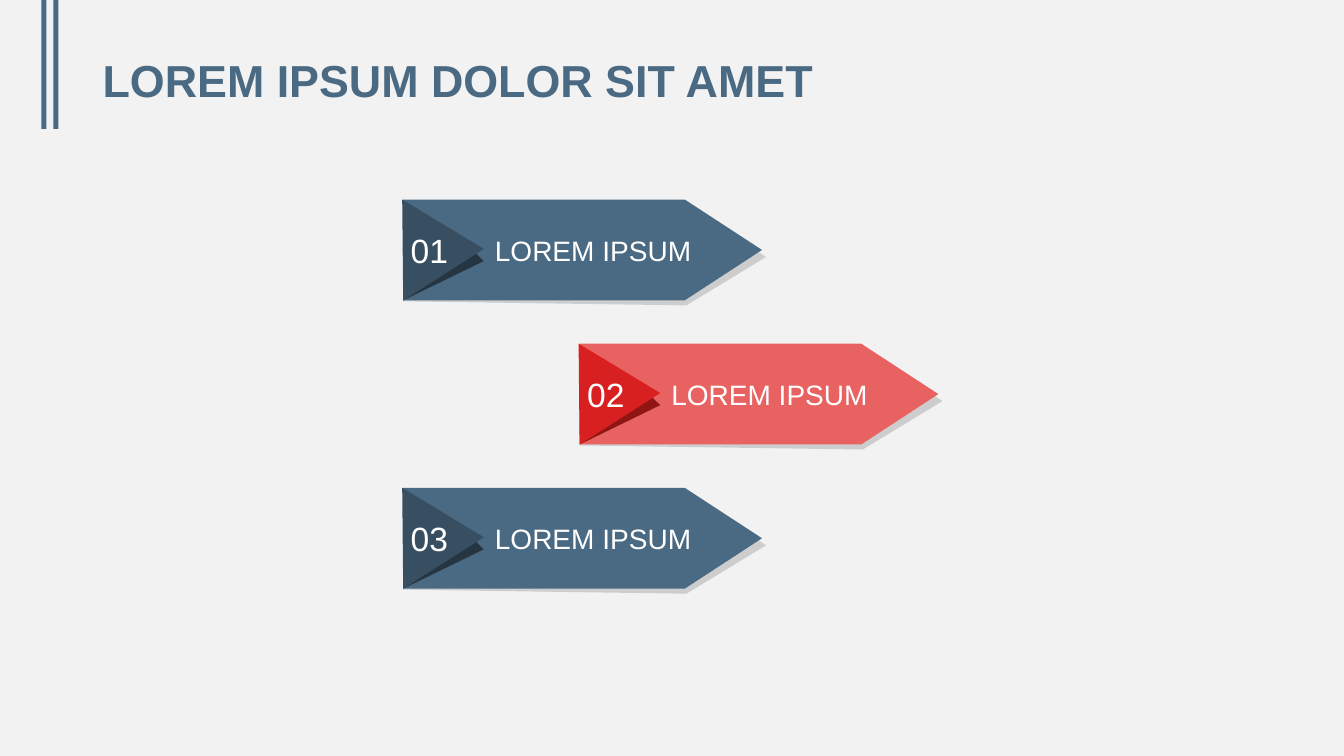
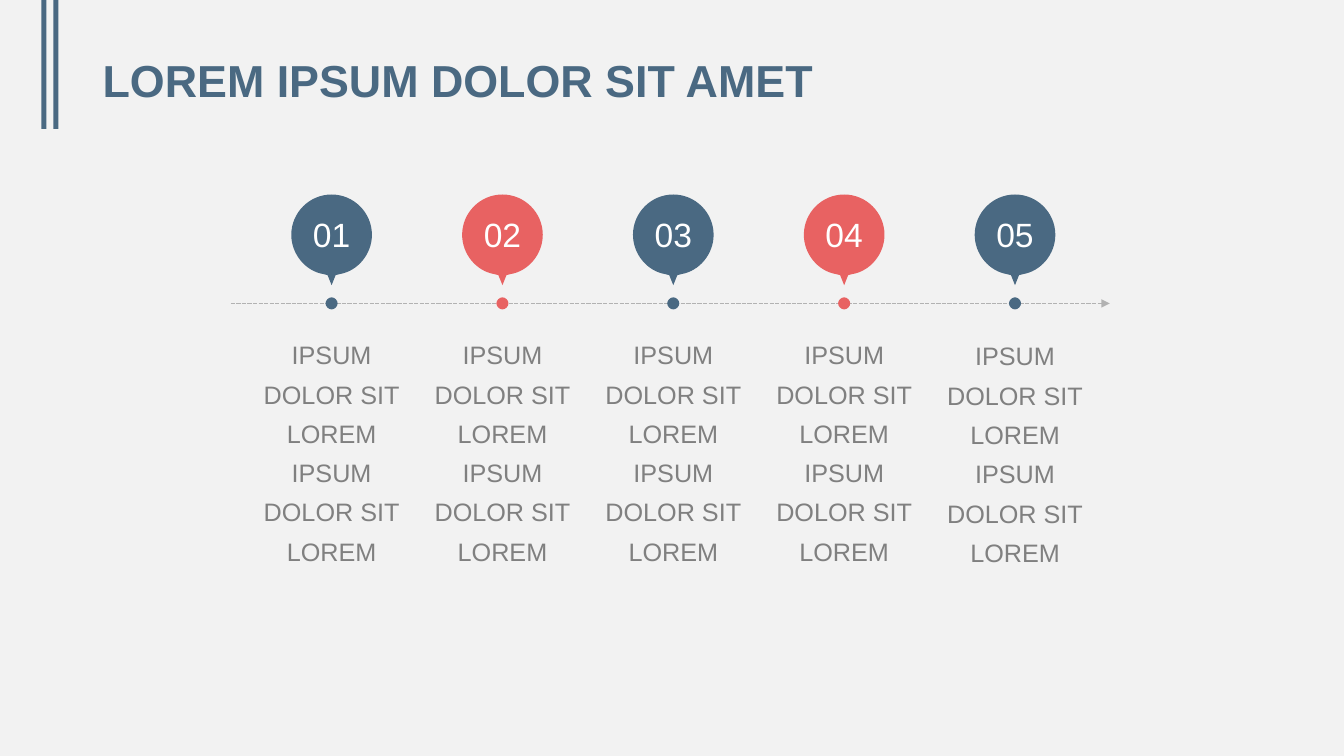
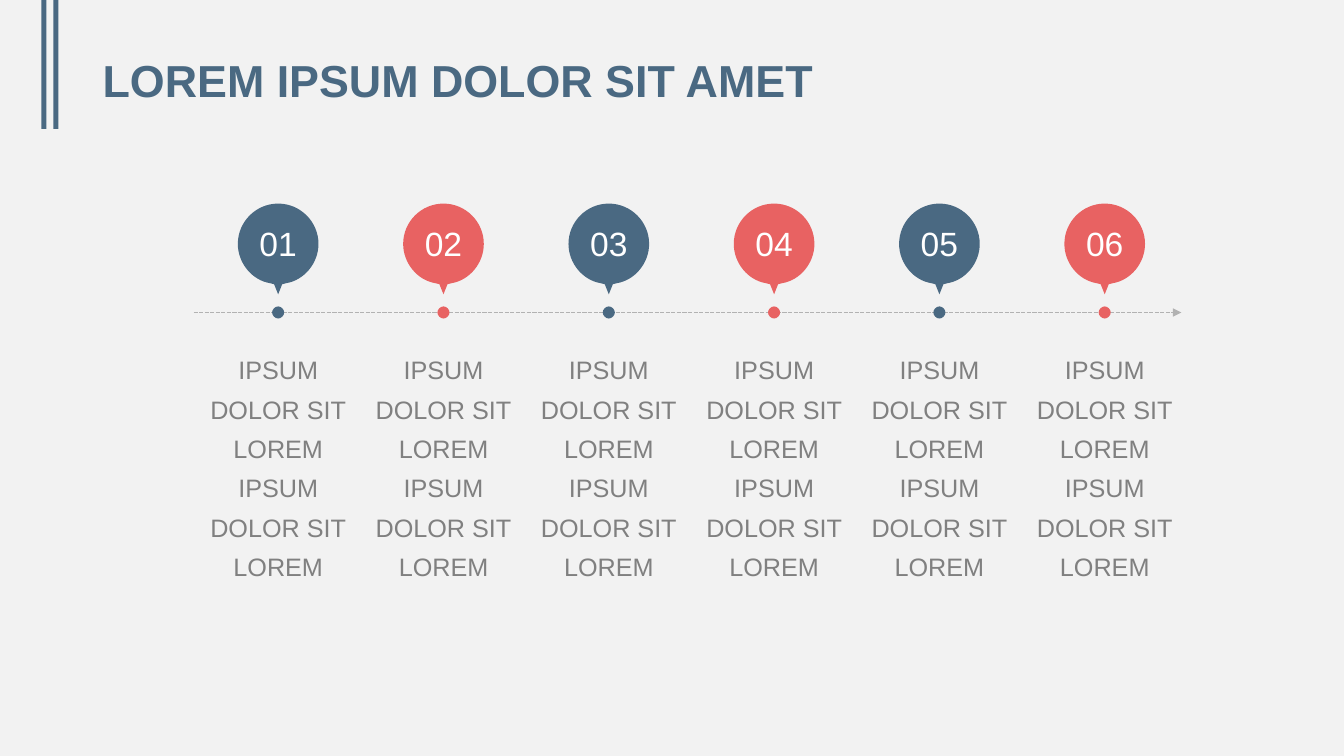
"""Build three infographic slides: staggered arrows and two pin timelines."""
from lxml.etree import SubElement
from pptx import Presentation
from pptx.dml.color import RGBColor
from pptx.enum.dml import MSO_LINE
from pptx.enum.shapes import MSO_CONNECTOR, MSO_SHAPE
from pptx.enum.text import MSO_ANCHOR, PP_ALIGN
from pptx.oxml.ns import qn
from pptx.util import Inches, Pt

TITLE = "LOREM IPSUM DOLOR SIT AMET"
FONT = "Arial"
COLORS = {
    "background": "F2F2F2", "blue": "4A6982", "red": "E86262",
    "blue_fold": "384F62", "red_fold": "D82020",
    "blue_crease": "253541", "red_crease": "901515",
    "shade": "CDCDCD", "axis": "B2B2B2", "body": "808080", "white": "FFFFFF",
}
ARROWS = [
    ("01", "LOREM IPSUM", 4, "blue"),
    ("02", "LOREM IPSUM", 5.75, "red"),
    ("03", "LOREM IPSUM", 4, "blue"),
]
ARROW_TOP, ARROW_STEP, ARROW_WIDTH, ARROW_HEIGHT = 1.98, 1.43, 3.56, 1

STEP_TEXT = ["IPSUM DOLOR SIT", "LOREM IPSUM DOLOR SIT", "LOREM"]
TIMELINES = [
    {"axis": (2.29, 11.01, 3.01), "centers": (3.29, 10.07),
     "text_tops": [3.28] * 4 + [3.29]},
    {"axis": (1.92, 11.72, 3.1), "centers": (2.76, 10.96),
     "text_tops": [3.43] * 6},
]
PIN_RISE = 1.08
TEXT_WIDTH, TEXT_HEIGHT = 1.42, 3.06

# Each outline is a list of segments: one point for a line, three for a curve.
SHADE = [[(0.02, 0.05)], [(2.81, 0.05)], [(3.6, 0.57)], [(2.81, 1.05)], [(0, 1.01)],
         [(0, 0.69), (0.03, 0.37), (0.02, 0.05)]]
CREASE = [[(0.71, 0.52)], [(0.8, 0.61)], [(0, 1)], [(0.71, 0.52)]]
FOLD = [[(-0.01, 0)], [(0.8, 0.49)], [(0, 1)], [(-0.01, 0)]]
DOT = [[(0, 1.02)],
       [(0.03, 1.02), (0.06, 1.05), (0.06, 1.08)],
       [(0.06, 1.11), (0.03, 1.14), (0, 1.14)],
       [(-0.03, 1.14), (-0.06, 1.11), (-0.06, 1.08)],
       [(-0.06, 1.05), (-0.03, 1.02), (0, 1.02)]]
BALLOON = [[(0, 0)],
           [(0.22, 0), (0.4, 0.18), (0.4, 0.4)],
           [(0.4, 0.59), (0.26, 0.76), (0.08, 0.79)],
           [(0.04, 0.8)], [(0, 0.9)], [(-0.04, 0.8)], [(-0.08, 0.79)],
           [(-0.26, 0.76), (-0.4, 0.59), (-0.4, 0.4)],
           [(-0.4, 0.18), (-0.22, 0), (0, 0)]]


def color(name):
    return RGBColor.from_string(COLORS[name])


def paint(shape, fill):
    shape.shadow.inherit = False
    shape.fill.solid()
    shape.fill.fore_color.rgb = color(fill)
    shape.line.fill.background()


def write(shape, lines, size, ink="white", align=PP_ALIGN.LEFT, anchor=MSO_ANCHOR.MIDDLE,
          insets=(0, 0, 0, 0), spacing=None, bold=False):
    frame = shape.text_frame
    frame.word_wrap = True
    frame.vertical_anchor = anchor
    (frame.margin_left, frame.margin_top,
     frame.margin_right, frame.margin_bottom) = map(Inches, insets)
    frame.text = "\n".join(lines)
    for paragraph in frame.paragraphs:
        paragraph.alignment = align
        paragraph.line_spacing = spacing
        paragraph.font.name = FONT
        paragraph.font.size = Pt(size)
        paragraph.font.bold = bold
        paragraph.font.color.rgb = color(ink)


def add_box(shapes, kind, left, top, width, height, fill):
    shape = shapes.add_shape(kind, *map(Inches, (left, top, width, height)))
    paint(shape, fill)
    return shape


def bend_curves(shape, segments):
    lines = iter(list(shape._element.iter(qn("a:lnTo"))))
    for segment in segments:
        first, *others = [next(lines) for point in segment]
        if others:
            first.tag = qn("a:cubicBezTo")
        for other in others:
            first.append(other[0])
            other.getparent().remove(other)


def add_outline(shapes, left, top, contours, fill):
    placed = [[(Inches(left + x), Inches(top + y)) for segment in contour for x, y in segment]
              for contour in contours]
    builder = shapes.build_freeform(*placed[0][0])
    for index, (start, *rest) in enumerate(placed):
        if index:
            builder.move_to(*start)
        builder.add_line_segments(rest, close=True)
    shape = builder.convert_to_shape()
    bend_curves(shape, [segment for contour in contours for segment in contour[1:]])
    paint(shape, fill)
    return shape


def add_slide(presentation):
    slide = presentation.slides.add_slide(presentation.slide_layouts[6])
    for left in (0.41, 0.53):
        add_box(slide.shapes, MSO_SHAPE.RECTANGLE, left, 0, 0.05, 1.28, "blue")
    title = slide.shapes.add_textbox(*map(Inches, (0.92, 0.43, 11.5, 0.79)))
    write(title, [TITLE], 32, "blue", insets=(0.1, 0.05, 0.1, 0.05), spacing=0.9, bold=True)
    return slide


def add_arrow(slide, row, number, label, left, tone):
    top = ARROW_TOP + row * ARROW_STEP
    shapes = slide.shapes.add_group_shape().shapes
    add_outline(shapes, left, top, [SHADE], "shade")
    body = add_box(shapes, MSO_SHAPE.PENTAGON, left, top, ARROW_WIDTH, ARROW_HEIGHT, tone)
    body.adjustments[0] = 0.766
    write(body, [label], 20, insets=(0.91, 0, 0, 0))
    add_outline(shapes, left, top, [CREASE], f"{tone}_crease")
    fold = add_outline(shapes, left, top, [FOLD], f"{tone}_fold")
    write(fold, [number], 24, align=PP_ALIGN.CENTER, insets=(0.04, 0, 0.31, 0))


def add_axis(slide, start, end, height):
    axis = slide.shapes.add_connector(
        MSO_CONNECTOR.STRAIGHT, *map(Inches, (start, height, end, height)))
    axis.line.color.rgb = color("axis")
    axis.line.width = Pt(1)
    axis.line.dash_style = MSO_LINE.SQUARE_DOT
    SubElement(axis.line._get_or_add_ln(), qn("a:tailEnd"), type="triangle")
    SubElement(axis._element.spPr, qn("a:effectLst"))


def add_step(slide, number, center, axis_height, text_top, tone):
    shapes = slide.shapes.add_group_shape().shapes
    pin = add_outline(shapes, center, axis_height - PIN_RISE, [DOT, BALLOON], tone)
    write(pin, [number], 24, align=PP_ALIGN.CENTER, insets=(0, 0, 0, 0.35))
    text = shapes.add_textbox(
        *map(Inches, (center - TEXT_WIDTH / 2, text_top, TEXT_WIDTH, TEXT_HEIGHT)))
    write(text, STEP_TEXT, 18, "body", PP_ALIGN.CENTER, MSO_ANCHOR.TOP, spacing=1.3)


def add_timeline(slide, axis, centers, text_tops):
    add_axis(slide, *axis)
    first, last = centers
    step = (last - first) / (len(text_tops) - 1)
    for index, text_top in enumerate(text_tops):
        tone = ("blue", "red")[index % 2]
        add_step(slide, f"{index + 1:02}", first + index * step, axis[2], text_top, tone)


presentation = Presentation()
presentation.slide_width, presentation.slide_height = Inches(40 / 3), Inches(7.5)
background = presentation.slide_master.background.fill
background.solid()
background.fore_color.rgb = color("background")

arrow_slide = add_slide(presentation)
for row, arrow in enumerate(ARROWS):
    add_arrow(arrow_slide, row, *arrow)
for timeline in TIMELINES:
    add_timeline(add_slide(presentation), **timeline)

presentation.save("out.pptx")
